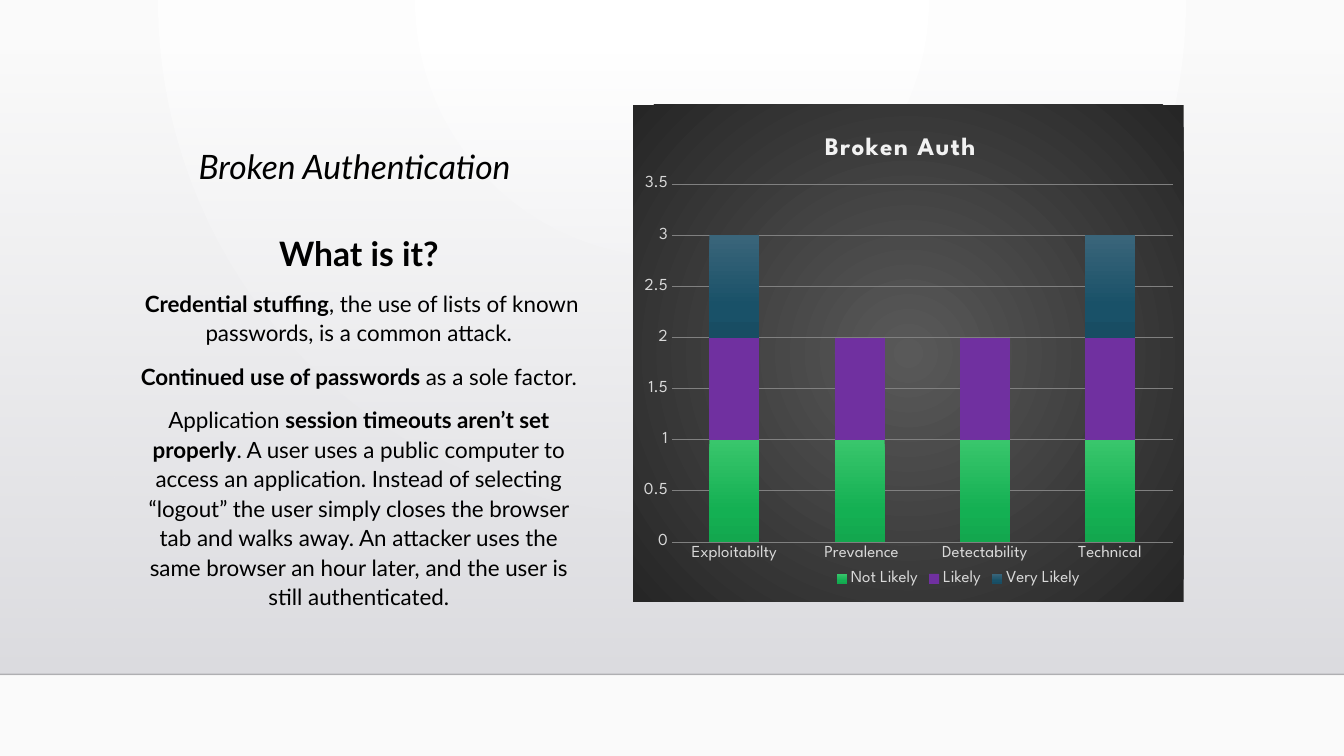
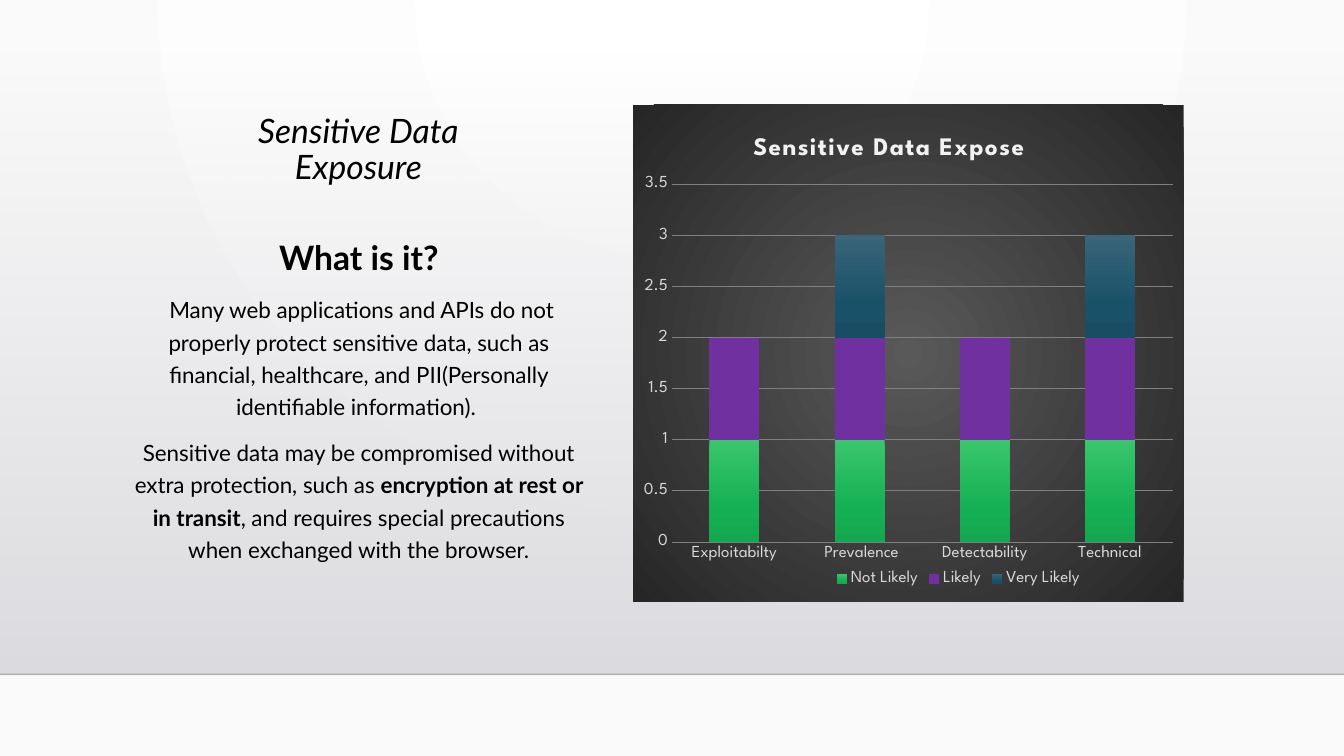
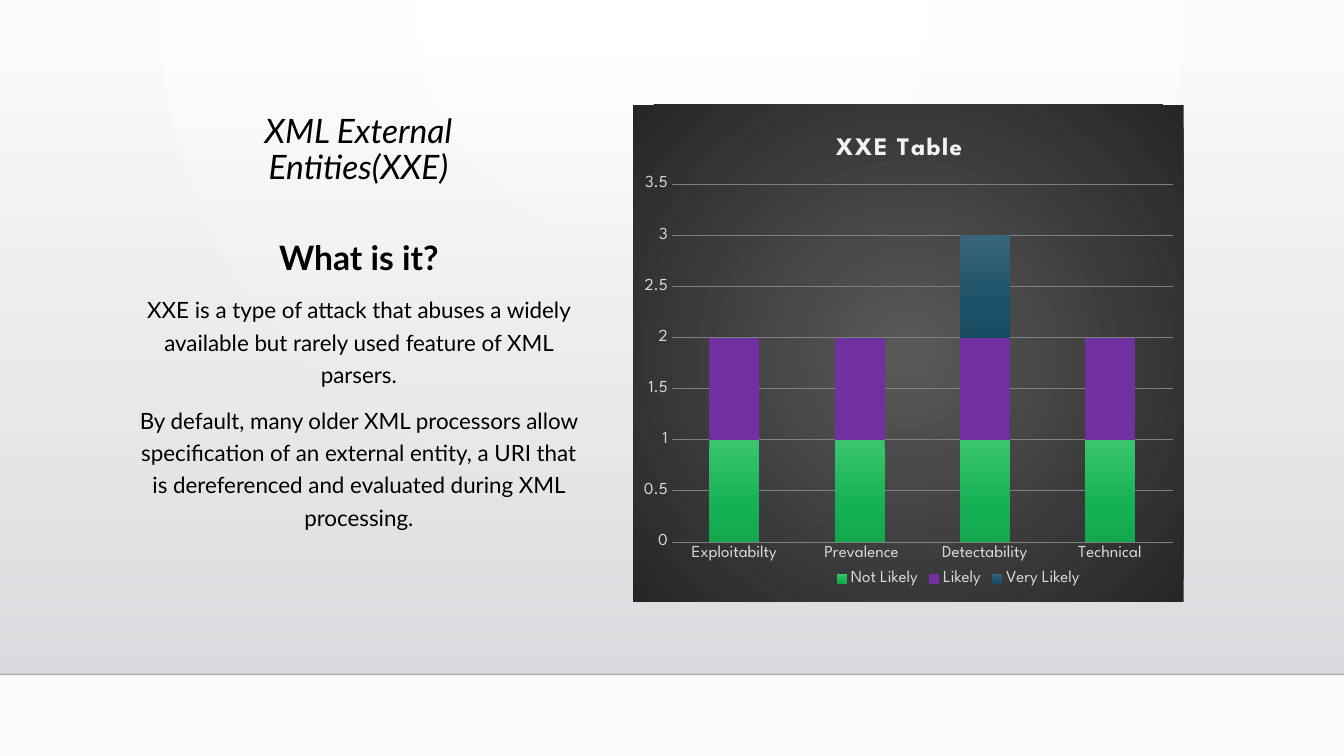
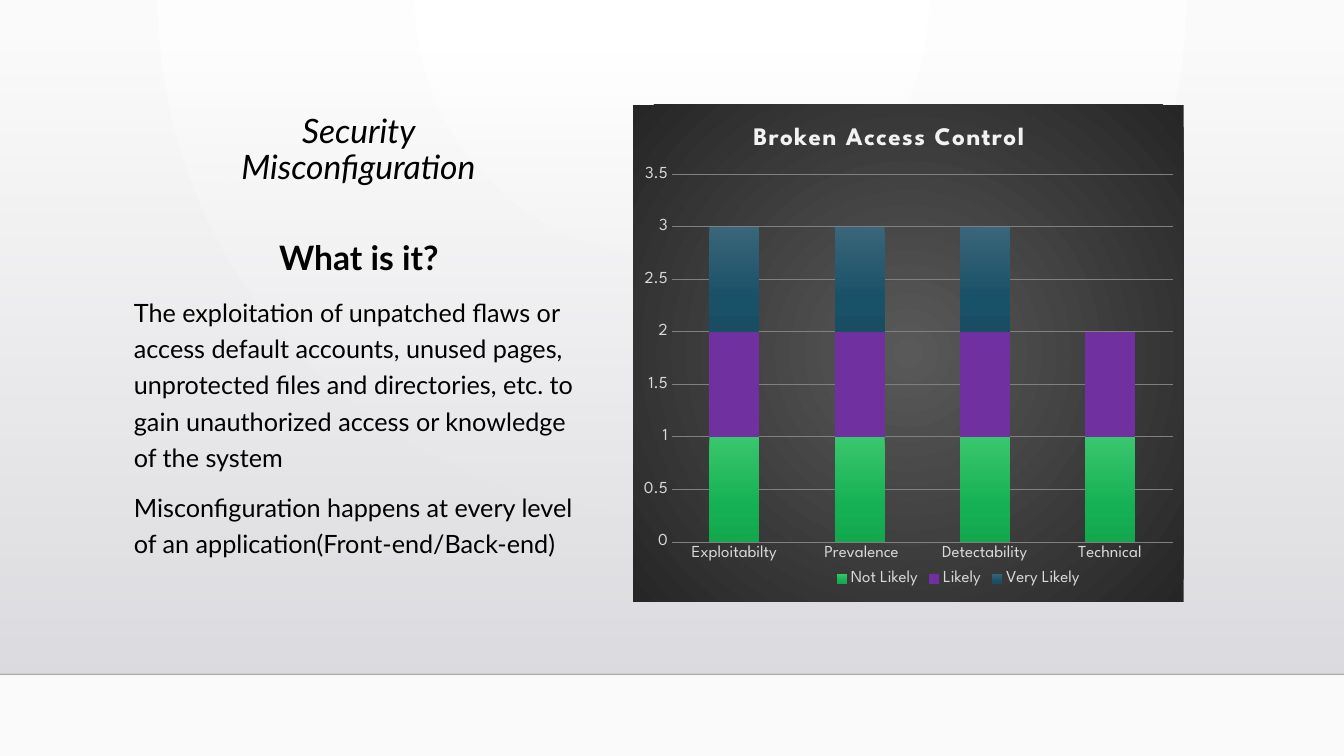
import pptx
import pptx.chart.data
import pptx.dml.color
import pptx.enum.chart
import pptx.enum.shapes
import pptx.enum.text
import pptx.oxml
import pptx.oxml.ns
import pptx.util
from lxml import etree

Inches = pptx.util.Inches
Pt = pptx.util.Pt
qn = pptx.oxml.ns.qn
ALIGN = pptx.enum.text.PP_ALIGN
ANCHOR = pptx.enum.text.MSO_ANCHOR
NS = pptx.oxml.ns.nsdecls("a", "c")

WIDE, HIGH = 13.33, 7.5
BAND_TOP, BAND_END = 0.51, 6.69
SANS, SPARTAN = "Lato", "League Spartan"
BLACK, PALE, LIGHT, GRID = "000000", "D9D9D9", "F2F2F2", "808080"
DOWN = '<a:lin ang="5400000" scaled="0"/>'
PAGE = [(0, "FFFFFF"), (100, "FAFAFA")]
BAND = [(0, "DCDCE0", 0), (100, "DEDEE2")]
PANEL = [(0, "595959"), (100, "262626")]
GREEN = [(0, "39C66C"), (69, "14B053"), (100, "13A74E")]
TEAL = [(0, "3A657A"), (69, "195168"), (100, "184D63")]
PURPLE = "7030A0"
CATS = ["Exploitabilty", " Prevalence", "Detectability", "Technical"]

TOPICS = [
    dict(
        title="Broken Authentication ",
        paras=[
            " *Credential stuffing*, the use of lists of known passwords, is a common attack.",
            "*Continued use of passwords *as a sole factor.",
            "Application *session timeouts aren’t set properly*. A user uses a public "
            "computer to access an application. Instead of selecting “logout” the user "
            "simply closes the browser tab and walks away. An attacker uses the same "
            "browser an hour later, and the user is still authenticated.",
        ],
        line=1.1,
        chart="Broken Auth", left=0.34, high=[1, 0, None, 1],
    ),
    dict(
        title="Sensitive Data Exposure",
        paras=[
            " Many web applications and APIs do not properly protect sensitive data, such "
            "as financial, healthcare, and PII(Personally identifiable information). ",
            "Sensitive data may be compromised without extra protection, such as "
            "*encryption at rest or in transit*, and requires special precautions when "
            "exchanged with the browser.",
        ],
        chart="Sensitive Data Expose", left=0.21, high=[None, 1, None, 1],
    ),
    dict(
        title="XML External Entities(XXE)",
        paras=[
            "XXE is a type of attack that abuses a widely available but rarely used "
            "feature of XML parsers.",
            "By default, many older XML processors allow specification of an external "
            "entity, a URI that is dereferenced and evaluated during XML processing.",
        ],
        chart="XXE Table", left=0.36, high=[None, None, 1, None],
    ),
    dict(
        title="Security Misconfiguration",
        paras=[
            "The exploitation of unpatched flaws or access default accounts, unused pages, "
            "unprotected files and directories, etc. to gain unauthorized access or "
            "knowledge of the system",
            "Misconfiguration happens at every level of an "
            "application(Front-end/Back-end)",
        ],
        size=18, align=ALIGN.LEFT,
        chart="Broken Access Control", left=0.21, high=[1, 1, 1, None], top=0.14,
    ),
]


def rgb(code):
    """Return the colour for a hex string."""
    return pptx.dml.color.RGBColor.from_string(code)


def ring(left, top, right, foot):
    """Return the XML of a circular gradient around a focus."""
    return (f'<a:path path="circle"><a:fillToRect l="{left}000" t="{top}000" '
            f'r="{right}000" b="{foot}000"/></a:path>')


def blend(stops, shade):
    """Return a gradient fill element."""
    marks = ""
    for place, code, *clear in stops:
        alpha = f'<a:alpha val="{clear[0]}000"/>' if clear else ""
        marks += f'<a:gs pos="{place}000"><a:srgbClr val="{code}">{alpha}</a:srgbClr></a:gs>'
    return pptx.oxml.parse_xml(
        f'<a:gradFill {NS} rotWithShape="1"><a:gsLst>{marks}</a:gsLst>{shade}</a:gradFill>')


def paint(fill, host, tone, shade=DOWN):
    """Fill an object with a plain colour or a gradient."""
    fill.solid()
    if isinstance(tone, str):
        fill.fore_color.rgb = rgb(tone)
        return
    old = next(host.iter(qn("a:solidFill")))
    old.getparent().replace(old, blend(tone, shade))


def style(font, size, color=BLACK, face=SANS, bold=False, italic=False):
    """Set every property of a font."""
    font.size, font.name, font.bold, font.italic = Pt(size), face, bold, italic
    font.color.rgb = rgb(color)


def frame(slide, x, y, w, h, anchor=ANCHOR.TOP):
    """Add a wrapping text box and return its frame."""
    body = slide.shapes.add_textbox(Inches(x), Inches(y), Inches(w), Inches(h)).text_frame
    body.word_wrap = True
    body.vertical_anchor = anchor
    return body


def write(body, text, align=ALIGN.CENTER, line=1.2, gap=10, **font):
    """Add a paragraph in which asterisks enclose bold words."""
    para = body.paragraphs[0]
    if para.runs:
        para = body.add_paragraph()
    para.alignment, para.line_spacing, para.space_before = align, line, Pt(gap)
    for spot, part in enumerate(text.split("*")):
        if part:
            run = para.add_run()
            run.text = part
            style(run.font, **{"bold": spot % 2 == 1, **font})


def scene(slide):
    """Draw the shaded band and the line below it."""
    band = slide.shapes.add_shape(
        pptx.enum.shapes.MSO_SHAPE.RECTANGLE, 0, Inches(BAND_TOP),
        Inches(WIDE), Inches(BAND_END - BAND_TOP))
    band.shadow.inherit = False
    band.line.fill.background()
    paint(band.fill, band._element.spPr, BAND)
    rule = slide.shapes.add_connector(
        pptx.enum.shapes.MSO_CONNECTOR.STRAIGHT, 0, Inches(BAND_END),
        Inches(WIDE), Inches(BAND_END))
    rule.line.width = Pt(1)
    rule.line.color.rgb = rgb("000001")
    props = rule._element.spPr
    tint = next(props.iter(qn("a:srgbClr")))
    etree.SubElement(tint, qn("a:alpha")).set("val", "20000")
    etree.SubElement(props, qn("a:effectLst"))


def place(x, y, w=None, h=None):
    """Return a manual layout element for a chart part."""
    inner = '<c:layoutTarget val="inner"/>' if w else ""
    size = f'<c:w val="{w}"/><c:h val="{h:.2f}"/>' if w else ""
    return pptx.oxml.parse_xml(
        f'<c:layout {NS}><c:manualLayout>{inner}<c:xMode val="edge"/><c:yMode val="edge"/>'
        f'<c:x val="{x}"/><c:y val="{y}"/>{size}</c:manualLayout></c:layout>')


def settle(part, after, spot):
    """Give a chart part its layout behind the named child."""
    for old in part.findall(qn("c:layout")):
        part.remove(old)
    if after is None:
        part.insert(0, spot)
    else:
        part.find(qn(after)).addnext(spot)


def head(chart, text, left, top):
    """Set the chart title and its place."""
    chart.has_title = True
    title = chart.chart_title
    title.include_in_layout = False
    run = title.text_frame.paragraphs[0].add_run()
    run.text = text
    style(run.font, 18, LIGHT, SPARTAN, bold=True)
    run.font._element.set("spc", "100")
    settle(title._element, "c:tx", place(left, top))


def axes(chart):
    """Style both axes and the grid."""
    for axis in (chart.category_axis, chart.value_axis):
        style(axis.tick_labels.font, 12, PALE, SPARTAN)
        axis.major_tick_mark = pptx.enum.chart.XL_TICK_MARK.NONE
        axis.minor_tick_mark = pptx.enum.chart.XL_TICK_MARK.NONE
        axis.format.line.fill.background()
    axis.minimum_scale, axis.maximum_scale, axis.major_unit = 0, 3.5, 0.5
    axis.tick_labels.number_format = "General"
    axis.tick_labels.number_format_is_linked = False
    grid = axis.major_gridlines.format.line
    grid.width, grid.color.rgb = Pt(0.75), rgb(GRID)


def graph(slide, text, left, high, top=0.16):
    """Add the stacked column chart on its dark panel."""
    data = pptx.chart.data.CategoryChartData()
    data.categories = CATS
    data.add_series("Not Likely", [1] * 4)
    data.add_series("Likely", [1] * 4)
    data.add_series("Very Likely", high)
    chart = slide.shapes.add_chart(
        pptx.enum.chart.XL_CHART_TYPE.COLUMN_STACKED, Inches(6.28), Inches(1.04),
        Inches(5.46), Inches(4.93), data).chart
    style(chart.font, 10, BLACK, SPARTAN)
    head(chart, text, left, round(top - 0.11, 2))
    axes(chart)
    plot = chart.plots[0]
    plot.gap_width, plot.overlap, plot.vary_by_categories = 150, 100, False
    for row, tone in zip(plot.series, (GREEN, PURPLE, TEAL)):
        row.invert_if_negative = False
        paint(row.format.fill, row._element, tone)
    chart.has_legend = True
    key = chart.legend
    key.position = pptx.enum.chart.XL_LEGEND_POSITION.BOTTOM
    key.include_in_layout = False
    style(key.font, 12, PALE, SPARTAN)
    settle(key._element, "c:legendPos", place(0.36, 0.93))
    root = chart._chartSpace
    area = next(root.iter(qn("c:plotArea")))
    settle(area, None, place(0.07, top, 0.91, 0.88 - top))
    panel = pptx.oxml.parse_xml(f"<c:spPr {NS}><a:ln><a:noFill/></a:ln></c:spPr>")
    panel.insert(0, blend(PANEL, ring(50, 50, 50, 50)))
    root.find(qn("c:chart")).addnext(panel)


def topic(deck, title, paras, chart, left, high, line=1.2, size=16,
          align=ALIGN.CENTER, top=0.16):
    """Build one slide with title, text and chart."""
    slide = deck.slides.add_slide(deck.slide_layouts[6])
    scene(slide)
    name = frame(slide, 1.82, 1.1, 3.47, 0.8, ANCHOR.BOTTOM)
    write(name, title, line=0.9, gap=0, size=24, italic=True)
    body = frame(slide, 1.23, 2.22, 4.66, 4.24)
    write(body, "What is it?", line=line, size=24, bold=True)
    for text in paras:
        write(body, text, align=align, line=line, size=size)
    graph(slide, chart, left, high, top)


def main():
    """Build and save the deck."""
    deck = pptx.Presentation()
    deck.slide_width, deck.slide_height = Inches(WIDE), Inches(HIGH)
    master = deck.slide_master
    fill = master.background.fill
    paint(fill, master._element.cSld.find(qn("p:bg")), PAGE, ring(43, 0, 43, 100))
    for item in TOPICS:
        topic(deck, **item)
    deck.save("out.pptx")


if __name__ == "__main__":
    main()
